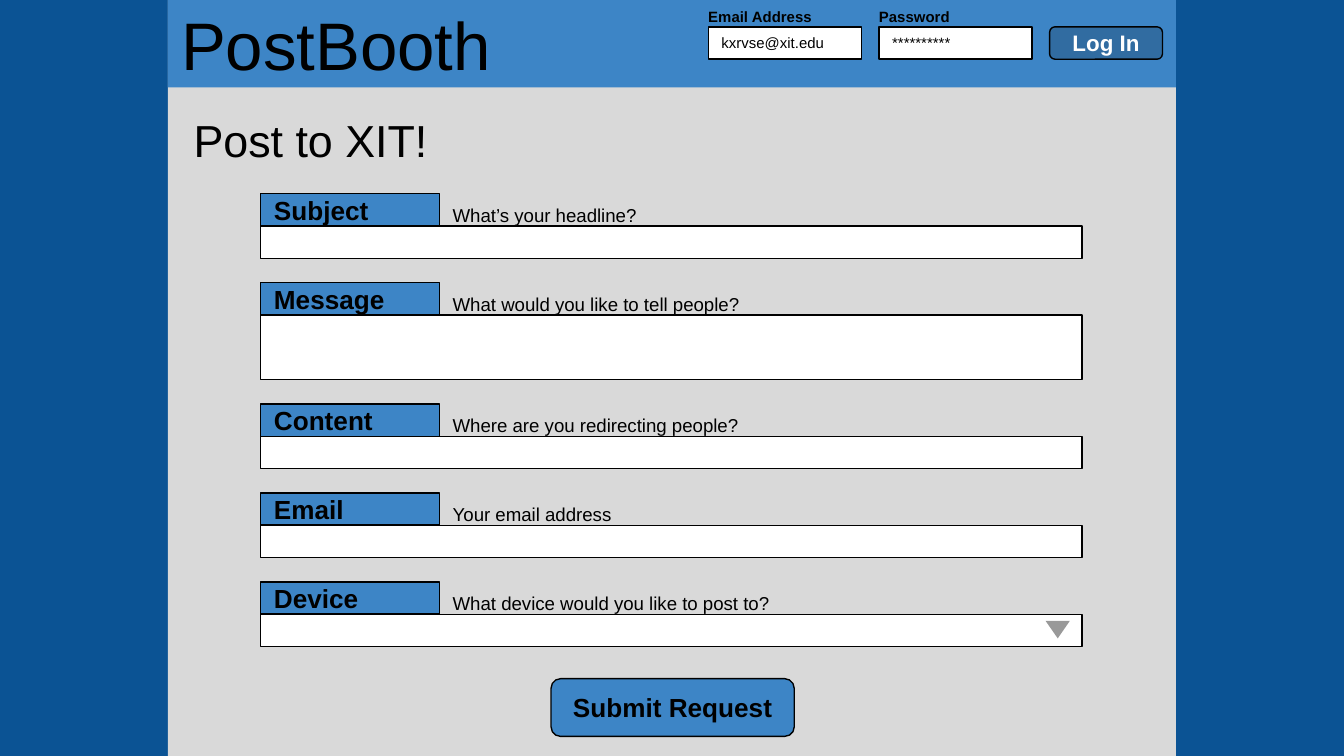
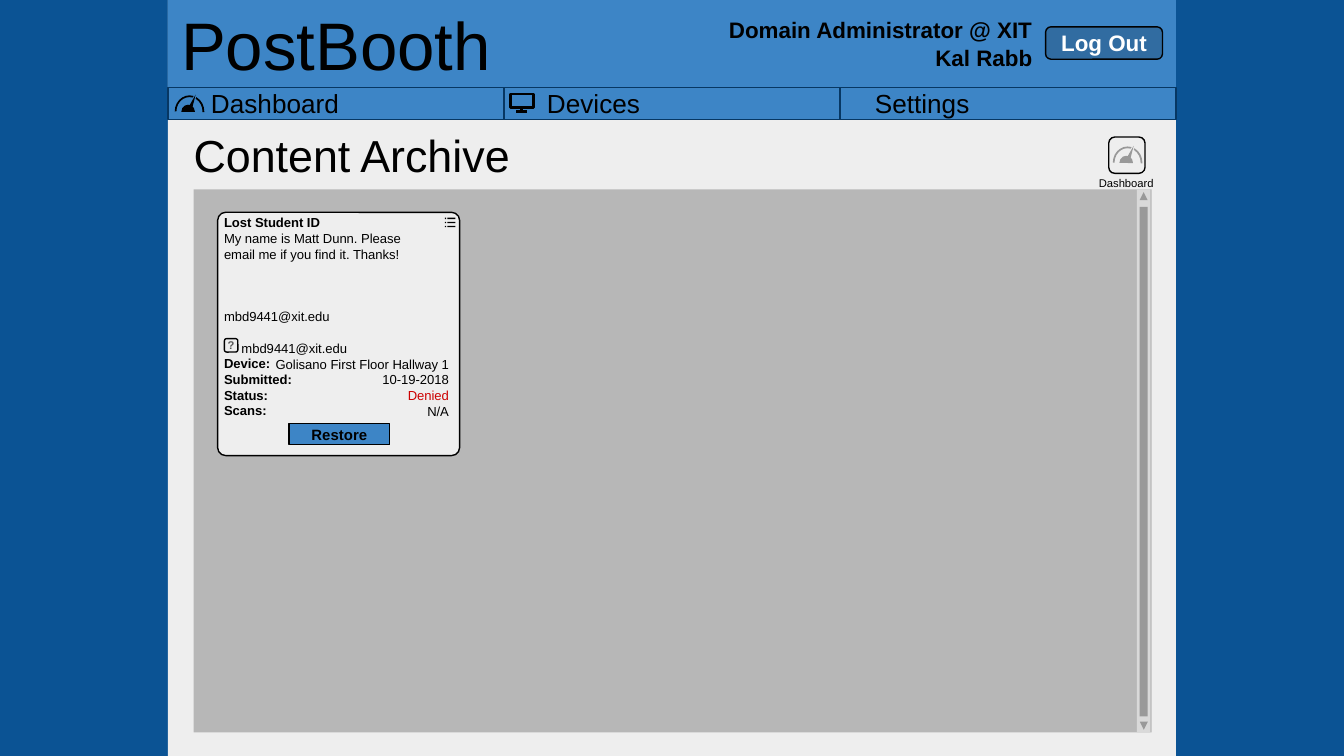
from dataclasses import dataclass

from lxml import etree
from pptx import Presentation
from pptx import util as u
from pptx.dml.color import RGBColor
from pptx.enum import shapes, text
from pptx.oxml.ns import qn

# Content
SITE_NAME = "PostBooth"
LOGIN_FIELDS = [("Email Address", "kxrvse@xit.edu"), ("Password", "**********")]
FORM_FIELDS = [  # label, hint, rows of input
    ("Subject", "What’s your headline?", 1),
    ("Message", "What would you like to tell people?", 2),
    ("Content", "Where are you redirecting people?", 1),
    ("Email", "Your email address", 1),
    ("Device", "What device would you like to post to?", 1),
]
ACCOUNT = ["Domain Administrator @ XIT", "Kal Rabb"]
NAVIGATION = [("Dashboard", 0.32), ("Devices", 0.32), ("Settings", 0.26)]  # label, indent
CARD_TITLE = "Lost Student ID"
CARD_LINES = [  # text, blank lines above, indent
    ("My name is Matt Dunn. Please", 0, 0.03),
    ("email me if you find it. Thanks!", 0, 0.03),
    ("mbd9441@xit.edu", 3, 0.03),
    ("mbd9441@xit.edu", 1, 0.16),
]
CARD_DETAILS = [
    ("Device:", "Golisano First Floor Hallway 1"),
    ("Submitted:", "10-19-2018"),
    ("Status:", "Denied"),
    ("Scans:", "N/A"),
]


@dataclass(frozen=True)
class Theme:
    font: str = "Arial"
    back: str = "0B5394"
    blue: str = "3D85C6"
    button: str = "316CA1"
    navy: str = "073763"
    black: str = "000000"
    white: str = "FFFFFF"
    form: str = "D9D9D9"
    page: str = "EEEEEE"
    archive: str = "B7B7B7"
    gray: str = "999999"
    mark: str = "595959"
    denied: str = "CC0000"
    site_size: int = 36
    title_size: int = 24
    label_size: int = 14
    account_size: int = 12
    hint_size: int = 10
    small_size: int = 8
    card_size: int = 7
    tiny_size: int = 6


THEME = Theme()
WIDTH, HEIGHT = 10, 5.625
LEFT, PAGE_WIDTH = WIDTH / 8, WIDTH * 3 / 4
ROW = HEIGHT * 3 / 70
BAND = 0.65
KIND = shapes.MSO_SHAPE
ALIGN = text.PP_ALIGN
ANCHOR = text.MSO_ANCHOR


def inches(*values):
    return [u.Inches(value) for value in values]


def color(value):
    return RGBColor.from_string(value)


def add_run(paragraph, content, size, ink=THEME.black, bold=False):
    run = paragraph.add_run()
    run.text = content
    run.font.name, run.font.size, run.font.bold = THEME.font, u.Pt(size), bold
    run.font.color.rgb = color(ink)


def prepare_frame(shape, insets, anchor):
    frame = shape.text_frame
    frame.word_wrap = True
    frame.vertical_anchor = anchor
    (frame.margin_left, frame.margin_top,
     frame.margin_right, frame.margin_bottom) = inches(*insets)
    return frame


def write(shape, content, size, align=ALIGN.LEFT, anchor=ANCHOR.MIDDLE,
          insets=(0.1, 0.1, 0.1, 0.1), **run_format):
    paragraph = prepare_frame(shape, insets, anchor).paragraphs[0]
    paragraph.alignment = align
    add_run(paragraph, content, size, **run_format)


def draw(parent, box, fill=None, line=None, kind=KIND.RECTANGLE, adjust=(),
         rotation=0, weight=0.75):
    shape = parent.shapes.add_shape(kind, *inches(*box))
    shape.shadow.inherit = False
    shape.rotation = rotation
    for index, value in enumerate(adjust):
        shape.adjustments[index] = value
    if fill:
        shape.fill.solid()
        shape.fill.fore_color.rgb = color(fill)
    else:
        shape.fill.background()
    if line:
        shape.line.color.rgb = color(line)
        shape.line.width = u.Pt(weight)
    else:
        shape.line.fill.background()
    return shape


def draw_line(parent, start, end, weight):
    connector = parent.shapes.add_connector(
        shapes.MSO_CONNECTOR.STRAIGHT, *inches(*start, *end))
    connector.line.color.rgb = color(THEME.black)
    connector.line.width = u.Pt(weight)
    properties = connector._element.find(qn("p:spPr"))
    etree.SubElement(properties, qn("a:effectLst"))


def label(slide, box, content, size, **text_format):
    write(slide.shapes.add_textbox(*inches(*box)), content, size, **text_format)


def button(slide, box, content, size, fill=THEME.blue, ink=THEME.black, corner=0.167):
    shape = draw(slide, box, fill, THEME.black, KIND.ROUNDED_RECTANGLE, [corner])
    write(shape, content, size, align=ALIGN.CENTER, ink=ink, bold=True,
          insets=(0.05, 0, 0.05, 0))


def start_slide(presentation, page_fill, title, title_top, action, action_width):
    """Add a slide with its page, site band, title and session button."""
    slide = presentation.slides.add_slide(presentation.slide_layouts[6])
    slide.background.fill.solid()
    slide.background.fill.fore_color.rgb = color(THEME.back)
    draw(slide, (LEFT, 0, PAGE_WIDTH, HEIGHT), page_fill)
    band = draw(slide, (LEFT, 0, PAGE_WIDTH, BAND), THEME.blue)
    write(band, SITE_NAME, THEME.site_size)
    label(slide, (LEFT, title_top, 5.76, 0.52), title, THEME.title_size,
          insets=(0.19, 0.1, 0.1, 0.1))
    button(slide, (8.65 - action_width, 0.2, action_width, ROW), action,
           THEME.account_size, THEME.button, THEME.white)
    return slide


def draw_gauge(parent, x, y, ink, gap):
    """Draw a dial with a needle, cut free of the arc in the gap colour."""
    draw(parent, (x, y, 0.22, 0.24), ink, kind=KIND.BLOCK_ARC, adjust=(108, 1.716, 0.059))
    for dx, dy, fill in ((0.14, -0.06, gap), (0.12, -0.01, ink)):
        draw(parent, (x + dx, y + dy, 0.03, 0.11), fill,
             kind=KIND.ISOSCELES_TRIANGLE, rotation=22)
    draw(parent, (x + 0.05, y + 0.07, 0.1, 0.1), ink, kind=KIND.CHORD,
         adjust=(105.608, 2.566))


def draw_monitor(parent, x, y):
    draw(parent, (x, y, 0.17, 0.1), line=THEME.black, weight=1.5)
    draw_line(parent, (x + 0.08, y + 0.1), (x + 0.08, y + 0.13), 1.5)
    draw_line(parent, (x + 0.04, y + 0.13), (x + 0.12, y + 0.13), 1.5)


def draw_list_icon(parent, x, y):
    for row in range(3):
        top = y + row * 0.03
        for dx, width in ((0, 0.01), (0.02, 0.06)):
            draw(parent, (x + dx, top, width, 0.01), THEME.black)


def build_form(presentation):
    slide = start_slide(presentation, THEME.form, "Post to XIT!", 0.78, "Log In", 0.84)
    for column, (name, value) in enumerate(LOGIN_FIELDS):
        x = 5.27 + column * 1.27
        label(slide, (x, 0.06, 1.14, 0.15), name, THEME.small_size, bold=True,
              anchor=ANCHOR.TOP, insets=(0, 0, 0, 0))
        field = draw(slide, (x, 0.2, 1.14, ROW), THEME.white, THEME.black)
        write(field, value, THEME.small_size)

    x, y, tab_width, field_width, gap = 1.94, 1.44, 1.33, 6.11, 0.18
    for name, hint, rows in FORM_FIELDS:
        tab = draw(slide, (x, y, tab_width, ROW), THEME.blue, THEME.black)
        write(tab, name, THEME.label_size, bold=True)
        label(slide, (x + tab_width, y, field_width - tab_width, ROW), hint,
              THEME.hint_size, anchor=ANCHOR.BOTTOM, insets=(0.1, 0, 0, 0))
        draw(slide, (x, y + ROW, field_width, rows * ROW), THEME.white, THEME.black)
        y += (rows + 1) * ROW + gap
    draw(slide, (7.78, 4.62, 0.18, 0.13), THEME.gray,
         kind=KIND.ISOSCELES_TRIANGLE, rotation=180)
    button(slide, (4.1, 5.05, 1.81, 0.43), "Submit Request", THEME.label_size)


def format_line(paragraph, indent=0, align=ALIGN.LEFT):
    paragraph.alignment = align
    properties = paragraph._p.get_or_add_pPr()
    properties.set("marL", str(u.Inches(indent)))
    properties.set("indent", "0")


def build_card(slide, x, y):
    card = draw(slide, (x, y, 1.8, 1.81), THEME.page, THEME.black,
                KIND.ROUNDED_RECTANGLE, [0.033])
    frame = prepare_frame(card, (0, 0, 0, 0.1), ANCHOR.TOP)
    size, line_height = THEME.card_size, 8.4
    heading = frame.paragraphs[0]
    format_line(heading, 0.03)
    add_run(heading, CARD_TITLE, size, bold=True)
    for content, blank_lines, indent in CARD_LINES:
        paragraph = frame.add_paragraph()
        paragraph.space_before = u.Pt(blank_lines * line_height)
        format_line(paragraph, indent)
        add_run(paragraph, content, size)

    value_box = slide.shapes.add_textbox(*inches(x + 0.42, y + 1.07, 1.3, 0.47))
    values = prepare_frame(value_box, (0, 0, 0, 0), ANCHOR.TOP)
    for row, (name, value) in enumerate(CARD_DETAILS):
        paragraph = frame.add_paragraph()
        format_line(paragraph, 0.03)
        add_run(paragraph, name, size, bold=True)
        paragraph = values.add_paragraph() if row else values.paragraphs[0]
        format_line(paragraph, align=ALIGN.RIGHT)
        add_run(paragraph, value, size,
                ink=THEME.denied if value == "Denied" else THEME.black)

    help_mark = draw(slide, (x + 0.05, y + 0.94, 0.1, 0.1), THEME.page, THEME.black,
                     KIND.ROUNDED_RECTANGLE, [0.167])
    write(help_mark, "?", THEME.tiny_size, align=ALIGN.CENTER, insets=(0, 0, 0, 0),
          ink=THEME.mark, bold=True)
    draw_list_icon(slide.shapes.add_group_shape(), x + 1.69, y + 0.04)
    button(slide, (x + 0.53, y + 1.57, 0.75, 0.16), "Restore", THEME.small_size, corner=0)


def build_archive(presentation):
    slide = start_slide(presentation, THEME.page, "Content Archive", 0.89, "Log Out", 0.87)
    for row, line in enumerate(ACCOUNT):
        label(slide, (5.14, 0.12 + row * 0.21, 2.64, 0.21), line, THEME.account_size,
              align=ALIGN.RIGHT, anchor=ANCHOR.TOP, insets=(0.1, 0, 0.1, 0), bold=True)

    tab_width = PAGE_WIDTH / len(NAVIGATION)
    for column, (name, indent) in enumerate(NAVIGATION):
        tab = draw(slide, (LEFT + column * tab_width, BAND, tab_width, ROW),
                   THEME.blue, THEME.navy)
        write(tab, name, THEME.label_size, insets=(indent, 0.1, 0.1, 0.1))
    draw_gauge(slide.shapes.add_group_shape(), 1.3, 0.71, THEME.black, THEME.blue)
    draw_monitor(slide.shapes.add_group_shape(), 3.8, 0.7)

    top, height = 1.41, 4.04
    draw(slide, (1.44, top, 7.13, height), THEME.archive)
    draw(slide, (8.46, top, 0.1, height), THEME.form)
    draw(slide, (8.48, top + 0.13, 0.06, height - 0.25), THEME.gray)
    for y, rotation in ((top + 0.02, 0), (top + height - 0.08, 180)):
        draw(slide, (8.48, y, 0.06, 0.06), THEME.gray,
             kind=KIND.ISOSCELES_TRIANGLE, rotation=rotation)

    shortcut = slide.shapes.add_group_shape()
    draw(shortcut, (8.25, 1.02, 0.27, 0.27), THEME.page, THEME.black,
         KIND.ROUNDED_RECTANGLE, [0.167])
    draw_gauge(shortcut, 8.28, 1.09, THEME.gray, THEME.page)
    label(slide, (8.16, 1.31, 0.44, 0.1), "Dashboard", THEME.tiny_size,
          align=ALIGN.CENTER, anchor=ANCHOR.TOP, insets=(0, 0, 0, 0))
    build_card(slide, 1.62, 1.58)


def main():
    presentation = Presentation()
    presentation.slide_width, presentation.slide_height = inches(WIDTH, HEIGHT)
    build_form(presentation)
    build_archive(presentation)
    presentation.save("out.pptx")


if __name__ == "__main__":
    main()
